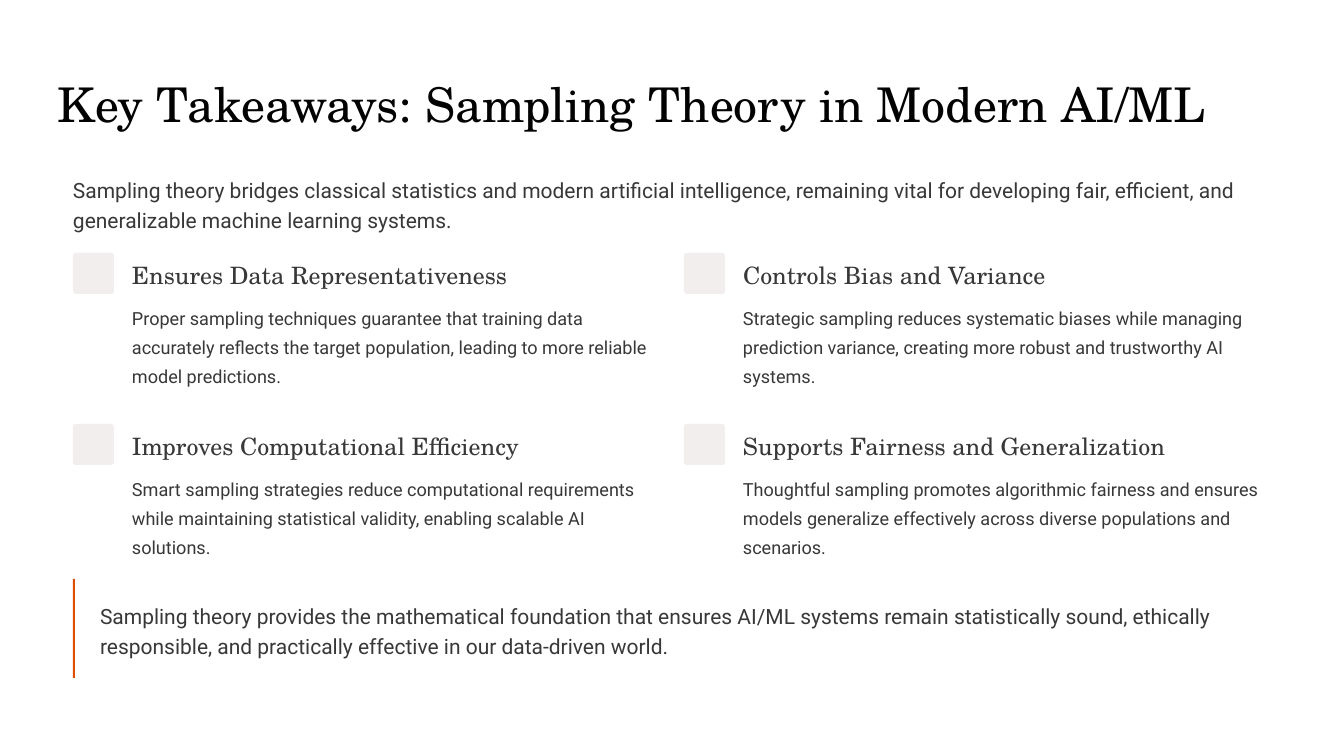
from dataclasses import dataclass

from pptx import Presentation
from pptx.dml.color import RGBColor
from pptx.enum.shapes import MSO_SHAPE as Shape
from pptx.enum.text import MSO_ANCHOR as Anchor, PP_ALIGN as Align
from pptx.util import Emu, Pt

PX = 914400 / 84
PAGE_SIZE = (1344, 756)


@dataclass(frozen=True)
class TextStyle:
    font: str
    size: float
    leading: float
    color: str
    wrap: bool = True


class Theme:
    paper = "FFFFFF"
    tile = "F2EEEE"
    accent = "E04F00"
    title = TextStyle("TeX Gyre Schola", 41, 51, "020202", wrap=False)
    heading = TextStyle("TeX Gyre Schola", 20.5, 25.5, "383838", wrap=False)
    lead = TextStyle("Roboto", 18, 25, "383838")
    body = TextStyle("Roboto", 15.5, 25, "383838")


TITLE = "Key Takeaways: Sampling Theory in Modern AI/ML"
INTRO = ("Sampling theory bridges classical statistics and modern artificial intelligence, "
         "remaining vital for developing fair, efficient, and generalizable machine "
         "learning systems.")
CLOSING = ("Sampling theory provides the mathematical foundation that ensures AI/ML systems "
           "remain statistically sound, ethically responsible, and practically effective in "
           "our data-driven world.")
# Heading, heading width in px, description
TAKEAWAYS = [
    ("Ensures Data Representativeness", 380,
     "Proper sampling techniques guarantee that training data accurately reflects the "
     "target population, leading to more reliable model predictions."),
    ("Controls Bias and Variance", 308,
     "Strategic sampling reduces systematic biases while managing prediction variance, "
     "creating more robust and trustworthy AI systems."),
    ("Improves Computational Efficiency", 394,
     "Smart sampling strategies reduce computational requirements while maintaining "
     "statistical validity, enabling scalable AI solutions."),
    ("Supports Fairness and Generalization", 430,
     "Thoughtful sampling promotes algorithmic fairness and ensures models generalize "
     "effectively across diverse populations and scenarios."),
]


def px(length):
    return Emu(round(length * PX))


def add_text(page, box, text, style):
    shape = page.shapes.add_textbox(*map(px, box))
    frame = shape.text_frame
    frame.margin_left = frame.margin_top = frame.margin_right = frame.margin_bottom = 0
    frame.word_wrap = style.wrap
    frame.vertical_anchor = Anchor.TOP
    para = frame.paragraphs[0]
    para.alignment = Align.LEFT
    para.line_spacing = Pt(style.leading)
    span = para.add_run()
    span.text = text
    span.font.name = style.font
    span.font.size = Pt(style.size)
    span.font.color.rgb = RGBColor.from_string(style.color)


def add_block(page, kind, box, color):
    shape = page.shapes.add_shape(kind, *map(px, box))
    shape.shadow.inherit = False
    shape.fill.solid()
    shape.fill.fore_color.rgb = RGBColor.from_string(color)
    shape.line.fill.background()
    return shape


def add_takeaway(page, box, heading, heading_width, description):
    left, top, width, height = box
    tile = add_block(page, Shape.ROUNDED_RECTANGLE, (left, top, 41, 41), Theme.tile)
    tile.adjustments[0] = 0.07
    text_left = left + 59
    add_text(page, (text_left, top + 7, heading_width, 30), heading, Theme.heading)
    add_text(page, (text_left, top + 47, width - 59, height - 47), description, Theme.body)


def add_takeaway_grid(page, box, columns=2, gap_x=24, gap_y=37):
    left, top, width, height = box
    rows = len(TAKEAWAYS) // columns
    card_width = (width - gap_x * (columns - 1)) // columns
    card_height = (height - gap_y * (rows - 1)) // rows
    for index, takeaway in enumerate(TAKEAWAYS):
        row, column = divmod(index, columns)
        card = (left + column * (card_width + gap_x), top + row * (card_height + gap_y),
                card_width, card_height)
        add_takeaway(page, card, *takeaway)


def add_closing(page, box):
    """Closing statement with an accent bar on its left edge."""
    left, top, width, height = box
    add_text(page, (left + 27, top + 21, width - 27, 58), CLOSING, Theme.lead)
    add_block(page, Shape.RECTANGLE, (left, top, 2, height), Theme.accent)


def add_takeaways_slide(deck):
    page = deck.slides.add_slide(deck.slide_layouts[6])
    add_block(page, Shape.RECTANGLE, (0, 0, *PAGE_SIZE), Theme.paper)
    add_text(page, (58, 73, 1160, 60), TITLE, Theme.title)
    add_text(page, (73, 174, 1198, 58), INTRO, Theme.lead)
    add_takeaway_grid(page, (73, 253, 1198, 305))
    add_closing(page, (73, 579, 1198, 99))


def main():
    deck = Presentation()
    deck.slide_width, deck.slide_height = map(px, PAGE_SIZE)
    add_takeaways_slide(deck)
    deck.save("out.pptx")


if __name__ == "__main__":
    main()
